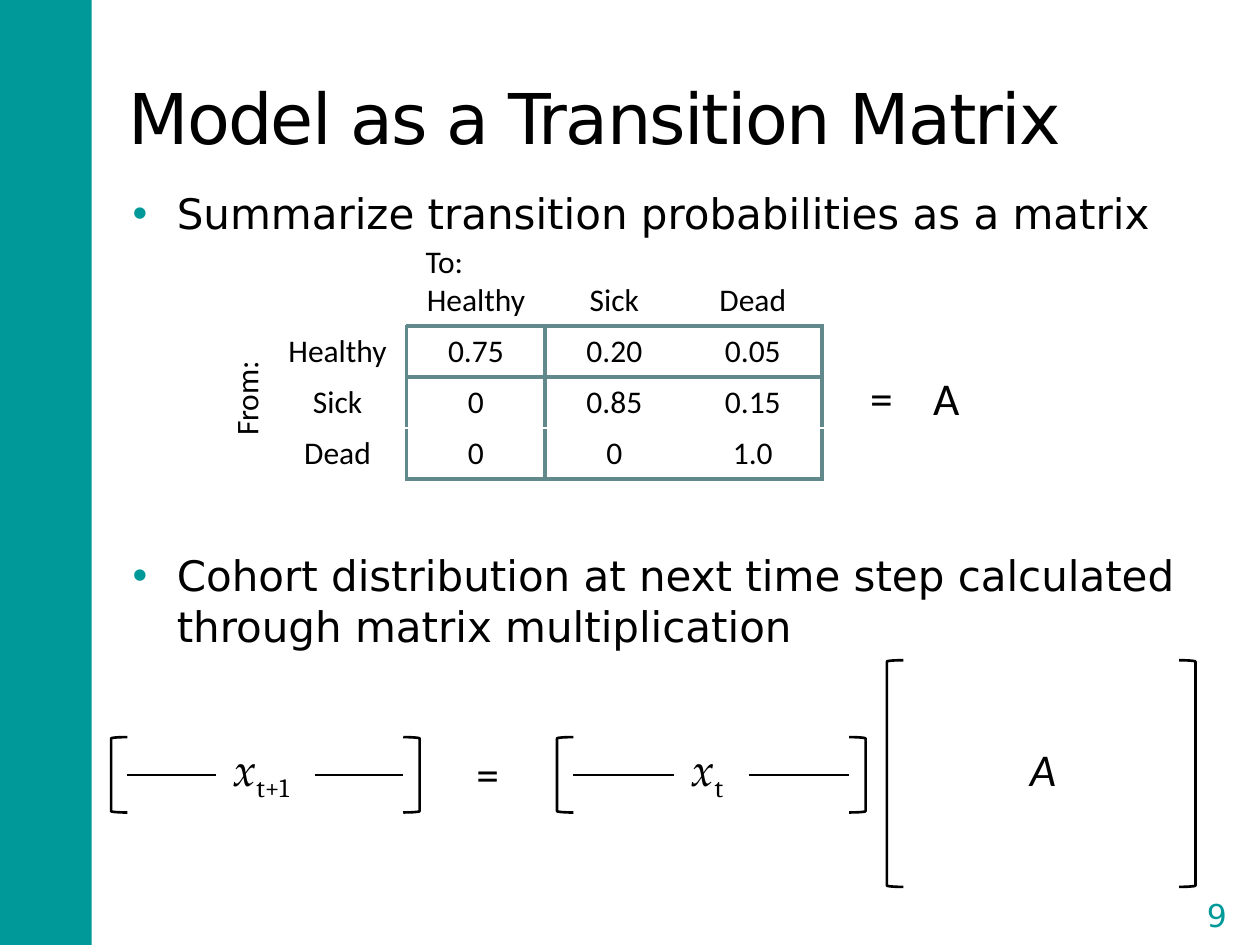
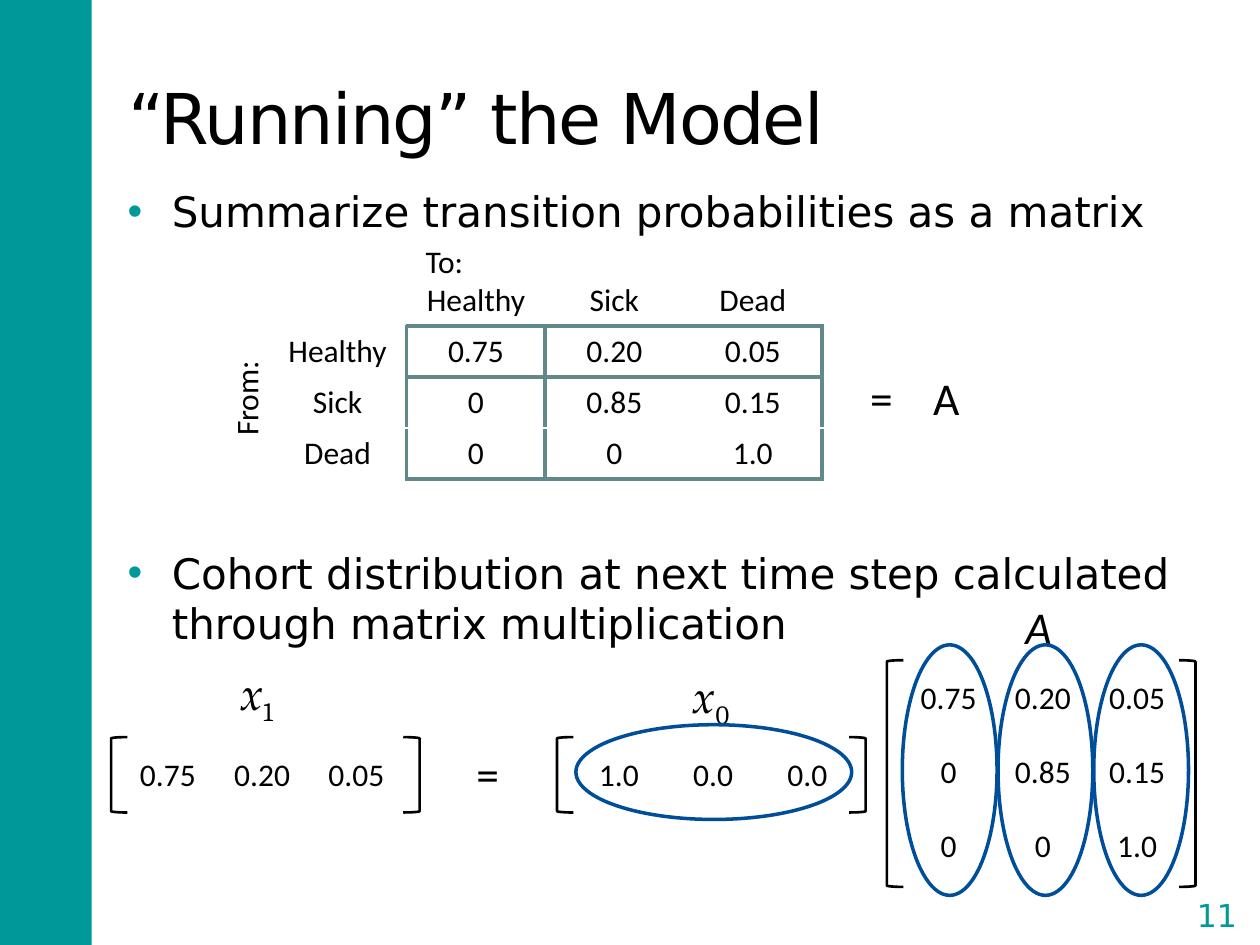
from lxml import etree
from pptx import Presentation
from pptx.dml.color import RGBColor
from pptx.enum.shapes import MSO_CONNECTOR, MSO_SHAPE
from pptx.enum.text import MSO_ANCHOR, MSO_AUTO_SIZE, PP_ALIGN
from pptx.oxml.ns import qn
from pptx.util import Cm, Pt

TEAL = RGBColor(0x00, 0x99, 0x99)
BLACK = RGBColor(0x00, 0x00, 0x00)
WHITE = RGBColor(0xFF, 0xFF, 0xFF)
SLATE = RGBColor(0x61, 0x88, 0x8A)
BLUE = RGBColor(0x00, 0x4D, 0x99)
LEFT, MID = PP_ALIGN.LEFT, PP_ALIGN.CENTER
CENTER, TOP = MSO_ANCHOR.MIDDLE, MSO_ANCHOR.TOP
FIXED = MSO_AUTO_SIZE.NONE
RECT, OVAL = MSO_SHAPE.RECTANGLE, MSO_SHAPE.OVAL
OPEN, CLOSE = MSO_SHAPE.LEFT_BRACKET, MSO_SHAPE.RIGHT_BRACKET
LINE = MSO_CONNECTOR.STRAIGHT

HEAD = {"name": "DejaVu Sans", "size": Pt(40)}
LIST = {"name": "DejaVu Sans", "size": Pt(24)}
PAGE = {"name": "DejaVu Sans", "size": Pt(18)}
SMALL = {"name": "Calibri", "size": Pt(18)}
LARGE = {"name": "Calibri", "size": Pt(26)}
SLANT = {**LARGE, "italic": True}
VAR = {"name": "TeX Gyre Pagella", "size": Pt(26), "italic": True}
SUB = {"name": "Cambria", "size": Pt(26), "italic": False}

STATES = ["Healthy", "Sick", "Dead"]
ODDS = [["0.75", "0.20", "0.05"], ["0", "0.85", "0.15"], ["0", "0", "1.0"]]
POINTS = ["Summarize transition probabilities as a matrix",
          "Cohort distribution at next time step calculated through matrix multiplication"]
CELL_W, CELL_H = 2.79, 1.03
PAIR_W, EDGE = 6.22, 0.33
NEXT, NOW = (2.24, 14.86, PAIR_W, 1.52), (11.23, 14.86, PAIR_W, 1.52)
GRID = (17.88, 13.31, PAIR_W, 4.57)


def style(item, vals):
    """Set every attribute in vals on item."""
    for key, val in vals.items():
        setattr(item, key, val)


def write(para, text, font, ink=BLACK):
    """Add a formatted run to a paragraph."""
    run = para.add_run()
    run.text = text
    style(run.font, font)
    run.font.color.rgb = ink
    return run


def place(item, box):
    """Move an item to a box given in centimetres."""
    style(item, dict(zip(("left", "top", "width", "height"), map(Cm, box))))


def label(slide, box, text, font, align=MID, ink=BLACK):
    """Add a text box holding one line."""
    item = slide.shapes.add_textbox(*map(Cm, box))
    style(item.text_frame, {"word_wrap": True, "vertical_anchor": TOP})
    para = item.text_frame.paragraphs[0]
    para.alignment = align
    if text:
        write(para, text, font, ink)
    return item


def draw(slide, kind, box, line=None, fill=None, weight=1.5):
    """Add a preset shape with optional line and fill."""
    item = slide.shapes.add_shape(kind, *map(Cm, box))
    item.shadow.inherit = False
    for part, ink in ((item.fill, fill), (item.line.fill, line)):
        if ink is None:
            part.background()
        else:
            part.solid()
            part.fore_color.rgb = ink
    if line is not None:
        item.line.width = Pt(weight)
    return item


def rule(slide, left, top, size):
    """Add a level line."""
    item = slide.shapes.add_connector(LINE, Cm(left), Cm(top), Cm(left + size), Cm(top))
    item.line.color.rgb = BLACK
    item.line.width = Pt(1.5)
    etree.SubElement(item.element.spPr, qn("a:effectLst"))


def symbol(slide, left, top, sub):
    """Add an italic x with a subscript."""
    item = label(slide, (left, top, 2, 1.37), "", VAR, LEFT)
    para = item.text_frame.paragraphs[0]
    write(para, "x", VAR)
    low = write(para, sub, SUB)
    low.font._element.set("baseline", "-25000")


def pair(slide, box):
    """Put square brackets at both ends of a box."""
    left, top, width, height = box
    draw(slide, OPEN, (left, top, EDGE, height), BLACK)
    draw(slide, CLOSE, (left + width - EDGE, top, EDGE, height), BLACK)


def vector(slide, box, sub, size):
    """Show a bracketed row vector with lines beside its symbol."""
    left, top, width, height = box
    pair(slide, box)
    symbol(slide, left + size + 0.44, top - 0.05, sub)
    for start in (EDGE, width - EDGE - size):
        rule(slide, left + start, top + height / 2, size)


def values(slide, box, rows, inset=EDGE, drop=0.24):
    """Show bracketed rows of numbers."""
    left, top = box[:2]
    pair(slide, box)
    for row, line in enumerate(rows):
        for col, text in enumerate(line):
            spot = (left + inset + col * 1.9, top + drop + row * 1.49, 1.83, 1.02)
            label(slide, spot, text, SMALL)


def border(cell, sides):
    """Draw the given sides of a table cell."""
    props = cell._tc.get_or_add_tcPr()
    for side in sides:
        line = etree.SubElement(props, qn(f"a:ln{side}"), w=str(Pt(2.25)))
        fill = etree.SubElement(line, qn("a:solidFill"))
        etree.SubElement(fill, qn("a:srgbClr"), val=str(SLATE))


def sides(row, col):
    """List the sides of a cell that touch the frame."""
    tests = {"L": row and col == 1, "R": row and col in (0, 3),
             "T": col and row == 1, "B": col and row in (0, 3)}
    return [side for side, hit in tests.items() if hit]


def matrix(slide, left, top):
    """Show the framed transition table and its labels."""
    rows = [[""] + STATES] + [[name] + odds for name, odds in zip(STATES, ODDS)]
    box = (left, top, 4 * CELL_W, 4 * CELL_H)
    table = slide.shapes.add_table(4, 4, *map(Cm, box)).table
    style(table, {"first_row": False, "horz_banding": False})
    for row, line in enumerate(rows):
        table.rows[row].height = Cm(CELL_H)
        table.columns[row].width = Cm(CELL_W)
        for col, text in enumerate(line):
            cell = table.cell(row, col)
            border(cell, sides(row, col))
            cell.fill.solid()
            cell.fill.fore_color.rgb = WHITE
            cell.vertical_anchor = CENTER
            para = cell.text_frame.paragraphs[0]
            para.alignment = MID
            if text:
                write(para, text, SMALL)
            else:
                para.font.size = Pt(18)
    label(slide, (left - 1.65, top + 1.98, 2.4, 1.02), "From:", SMALL).rotation = 270
    label(slide, (left + 2.92, top - 0.79, 1.8, 1.02), "To:", SMALL, LEFT)
    label(slide, (left + 11.23, top + 1.8, 3.61, 1.37), "= \tA", LARGE)


def bullet(para):
    """Give a paragraph a teal bullet and a hanging indent."""
    props = para._p.get_or_add_pPr()
    props.set("marL", str(Cm(0.97)))
    props.set("indent", str(Cm(-0.89)))
    ink = etree.SubElement(props, qn("a:buClr"))
    etree.SubElement(ink, qn("a:srgbClr"), val=str(TEAL))
    etree.SubElement(props, qn("a:buFont"), typeface="Arial")
    etree.SubElement(props, qn("a:buChar"), char="•")


def base(deck, title, page, left, top):
    """Add a slide with title, list, matrix and page number."""
    slide = deck.slides.add_slide(deck.slide_layouts[1])
    head, body = slide.placeholders
    place(head, (2.34, 0.76, 21.16, 3.18))
    place(body, (left, top, 22.4, 14.07))
    for item, anchor in ((head, CENTER), (body, TOP)):
        style(item.text_frame, {"auto_size": FIXED, "word_wrap": True,
                                "vertical_anchor": anchor})
    para = head.text_frame.paragraphs[0]
    para.alignment = LEFT
    write(para, title, HEAD).font._element.set("spc", "-100")
    frame = body.text_frame
    for text, gap in zip(POINTS, (0, 178)):
        para = frame.add_paragraph() if gap else frame.paragraphs[0]
        style(para, {"space_before": Pt(gap), "alignment": LEFT})
        bullet(para)
        write(para, text, LIST)
    label(slide, (23.77, 17.93, 1.52, 1.09), page, PAGE, MID, TEAL)
    matrix(slide, 5.41, 5.54)
    label(slide, (8.92, 14.91, 1.83, 1.37), "=", LARGE)
    return slide


def band(deck, slide):
    """Put the side band on the slide master."""
    item = draw(slide, RECT, (0, 0, 1.85, 19.05), fill=TEAL)
    item.element.nvSpPr.cNvPr.set("id", "50")
    deck.slide_master.element.cSld.spTree.insert(2, item.element)


def model(deck):
    """Build the slide that shows the product in symbols."""
    slide = base(deck, "Model as a Transition Matrix", "9", 2.34, 3.66)
    band(deck, slide)
    vector(slide, NOW, "t", 2.03)
    vector(slide, NEXT, "t+1", 1.78)
    pair(slide, GRID)
    item = draw(slide, RECT, (GRID[0] + 1.88, GRID[1] + 0.91, 2.54, 2.54), WHITE, WHITE, 2)
    item.text_frame.vertical_anchor = CENTER
    para = item.text_frame.paragraphs[0]
    para.alignment = MID
    write(para, "A", SLANT)


def running(deck):
    """Build the slide that shows the product in numbers."""
    slide = base(deck, "“Running” the Model", "11", 2.24, 3.61)
    values(slide, NOW, [["1.0", "0.0", "0.0"]])
    values(slide, GRID, ODDS)
    values(slide, NEXT, ODDS[:1], 0.23)
    label(slide, (20.02, 11.96, 1.83, 1.37), "A", SLANT)
    symbol(slide, 13.72, 13.34, "0")
    symbol(slide, 4.6, 13.28, "1")
    draw(slide, OVAL, (NOW[0] + 0.38, NOW[1] - 0.25, 5.56, 1.91), BLUE, weight=2)
    for col in range(3):
        spot = (GRID[0] + 0.31 + col * 1.93, GRID[1] - 0.31, 1.91, 5.05)
        draw(slide, OVAL, spot, BLUE, weight=2)


def main():
    """Build and save the deck."""
    deck = Presentation()
    style(deck, {"slide_width": Cm(25.4), "slide_height": Cm(19.05)})
    model(deck)
    running(deck)
    deck.save("out.pptx")


if __name__ == "__main__":
    main()
